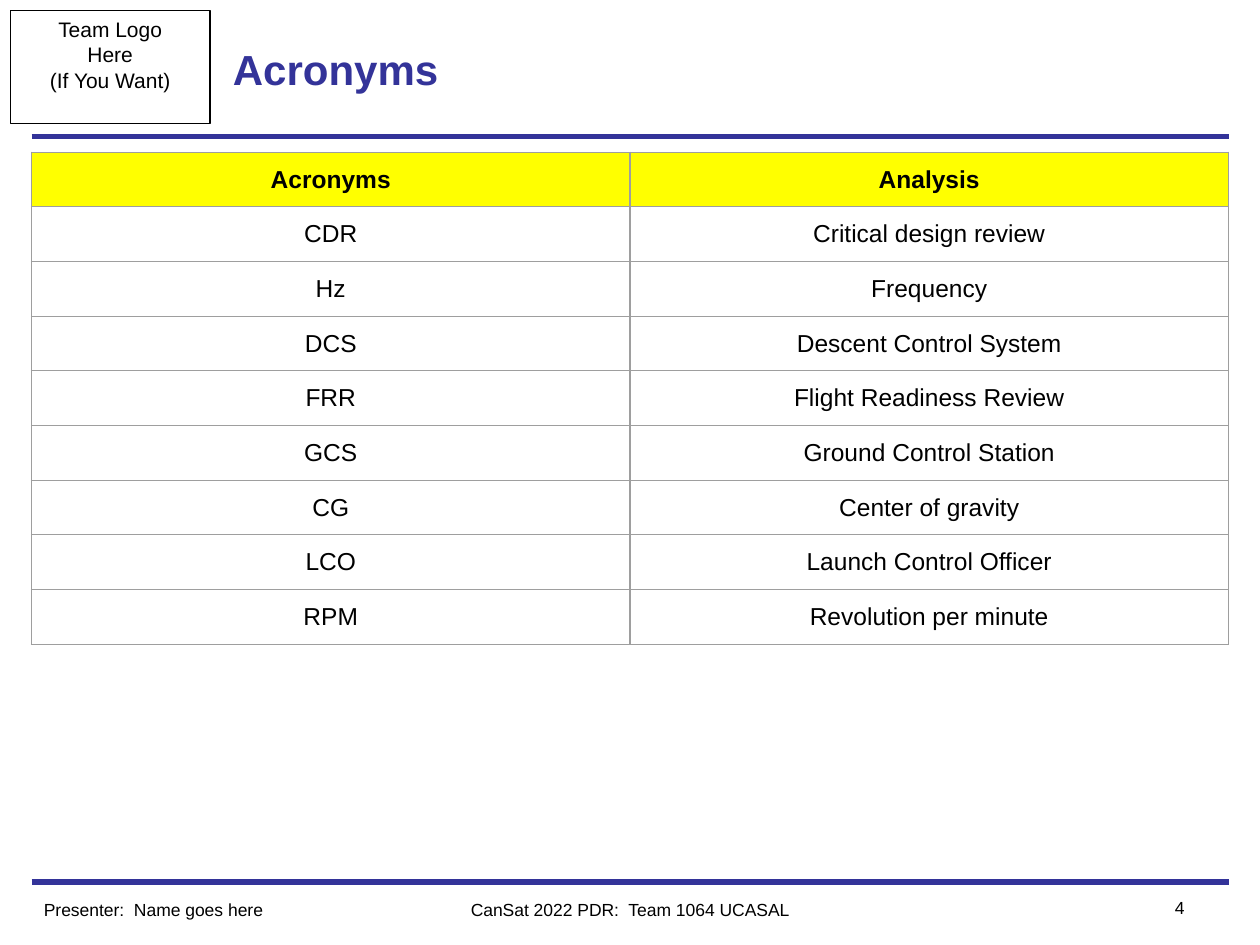
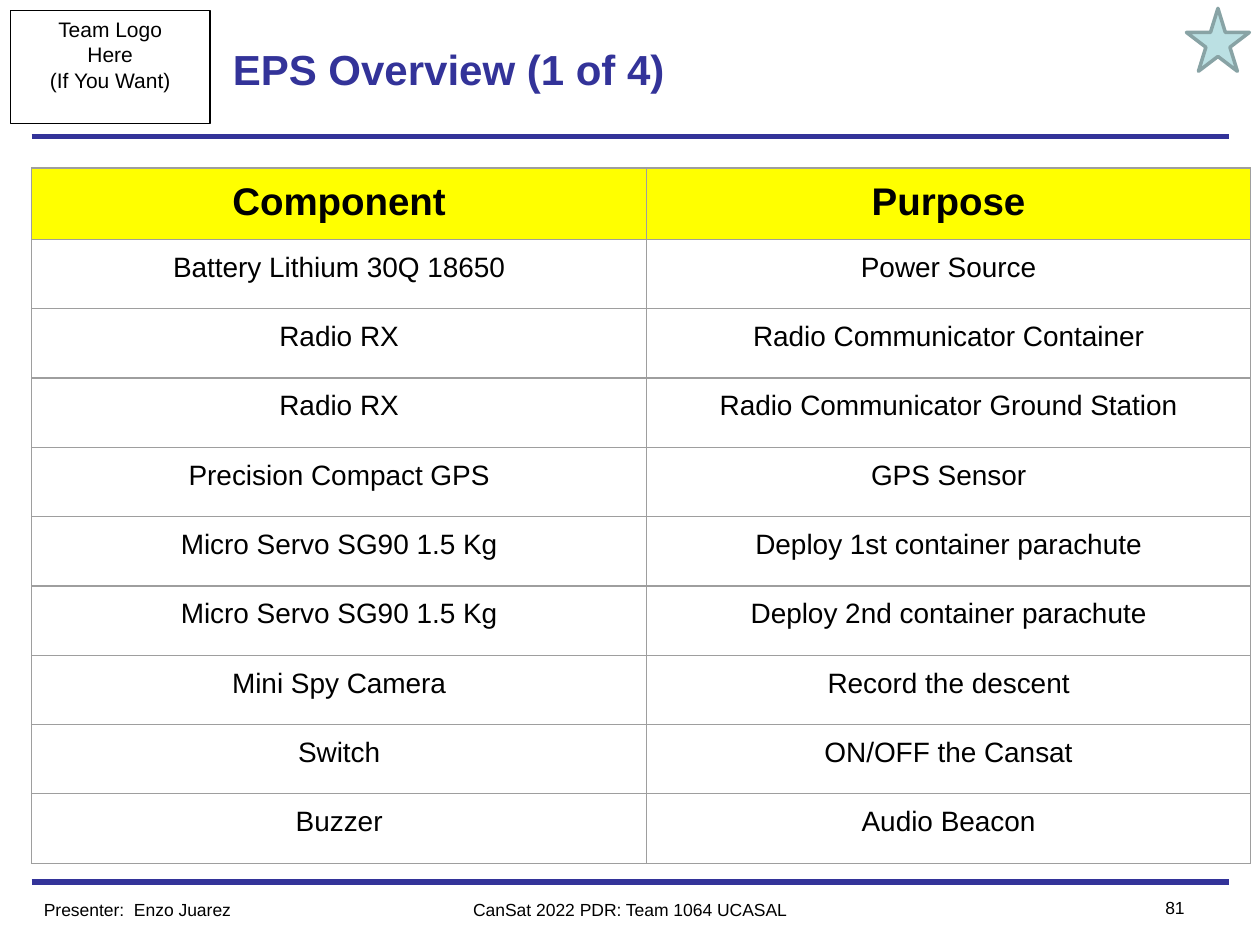
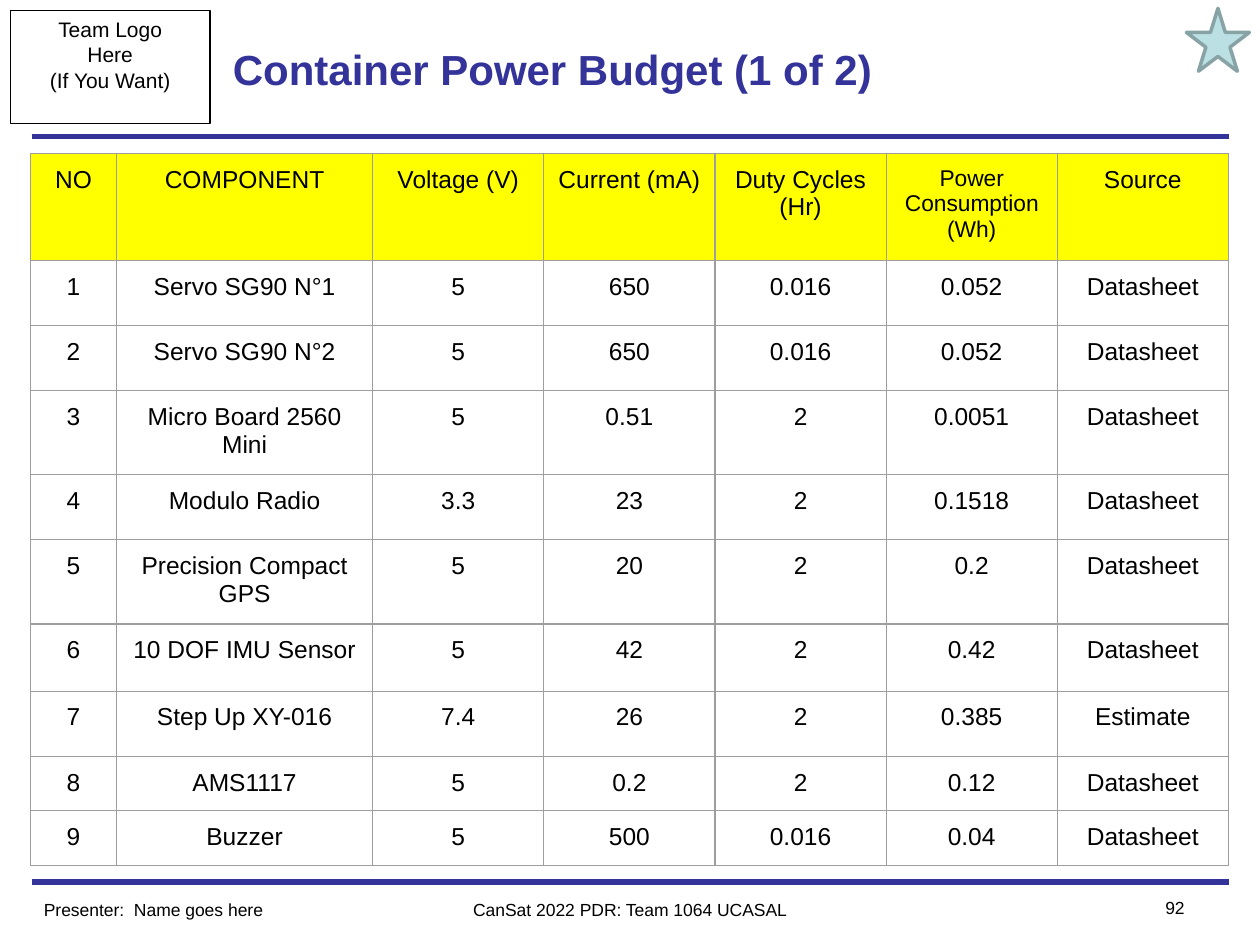
import pptx
import pptx.dml.color
import pptx.enum.shapes
import pptx.enum.text
import pptx.oxml
import pptx.oxml.ns
import pptx.util

ALIGN = pptx.enum.text.PP_ALIGN
ANCHOR = pptx.enum.text.MSO_ANCHOR
SHAPE = pptx.enum.shapes.MSO_SHAPE
NAMESPACE = pptx.oxml.ns.nsdecls("a")


def color(value):
    return pptx.dml.color.RGBColor.from_string(value)


class Deck:
    font = "Arial"
    navy, black, white, yellow = "333399", "000000", "FFFFFF", "FFFF00"
    star_fill, star_line, border = "BBE0E3", "88A3A5", "9E9E9E"
    columns, rows = 120, 90

    def __init__(self):
        self.presentation = pptx.Presentation()
        self.presentation.slide_width = pptx.util.Inches(10)
        self.presentation.slide_height = pptx.util.Inches(7.5)
        self.slide = None

    def x(self, column):
        return round(self.presentation.slide_width * column / self.columns)

    def y(self, row):
        return round(self.presentation.slide_height * row / self.rows)

    def box(self, left, top, width, height):
        return self.x(left), self.y(top), self.x(width), self.y(height)

    def fill_text(self, frame, text, size, align=ALIGN.LEFT, bold=False, ink=black):
        frame.word_wrap = True
        frame.text = text
        for paragraph in frame.paragraphs:
            paragraph.alignment = align
            paragraph.font.name = self.font
            paragraph.font.size = pptx.util.Pt(size)
            paragraph.font.bold = bold
            paragraph.font.color.rgb = color(ink)

    def text(self, place, text, size, anchor=ANCHOR.TOP, **style):
        frame = self.slide.shapes.add_textbox(*self.box(*place)).text_frame
        frame.vertical_anchor = anchor
        self.fill_text(frame, text, size, **style)

    def rule(self, row):
        line = self.slide.shapes.add_connector(
            pptx.enum.shapes.MSO_CONNECTOR.STRAIGHT,
            self.x(3), self.y(row), self.x(117), self.y(row))
        line.line.color.rgb = color(self.navy)
        line.line.width = pptx.util.Pt(3)
        effects = pptx.oxml.parse_xml(f"<a:effectLst {NAMESPACE}/>")
        line._element.spPr.append(effects)

    def shape(self, kind, place, outline, width, fill=None):
        shape = self.slide.shapes.add_shape(kind, *self.box(*place))
        shape.shadow.inherit = False
        if fill:
            shape.fill.solid()
            shape.fill.fore_color.rgb = color(fill)
        else:
            shape.fill.background()
        shape.line.color.rgb = color(outline)
        shape.line.width = pptx.util.Pt(width)
        return shape

    def star(self):
        self.shape(SHAPE.STAR_5_POINT, (113, 0.8, 6, 6), self.star_line, 2, self.star_fill)

    def page(self, title, number, presenter, event="CanSat 2022 PDR: Team 1064 UCASAL"):
        self.slide = self.presentation.slides.add_slide(self.presentation.slide_layouts[6])
        self.rule(84)
        self.rule(13)
        logo = self.shape(SHAPE.RECTANGLE, (1, 1, 19, 10.8), self.black, 0.75)
        logo.text_frame.vertical_anchor = ANCHOR.TOP
        self.fill_text(logo.text_frame, "Team Logo\nHere\n(If You Want)", 12, ALIGN.CENTER)
        self.text((36, 85, 48, 3.2), event, 10, align=ALIGN.CENTER)
        self.text((105, 84.8, 9, 3.2), number, 10, align=ALIGN.RIGHT)
        self.text((21, 1, 78, 11), title, 24, ANCHOR.MIDDLE, bold=True, ink=self.navy)
        self.text((3, 85, 30, 3.2), f"Presenter:  {presenter}", 10)

    def outline(self, cell):
        properties = cell._tc.get_or_add_tcPr()
        for side in "LRTB":
            properties.append(pptx.oxml.parse_xml(
                f'<a:ln{side} {NAMESPACE} w="9525"><a:solidFill>'
                f'<a:srgbClr val="{self.border}"/></a:solidFill></a:ln{side}>'))

    def table(self, left, top, widths, heights, records, size, head_size,
              bold=True, anchor=ANCHOR.TOP, small_heads=()):
        place = self.box(left, top, sum(widths), sum(heights))
        table = self.slide.shapes.add_table(len(heights), len(widths), *place).table
        table.first_row = table.horz_banding = False
        for column, width in zip(table.columns, widths):
            column.width = self.x(width)
        for index, (row, height, record) in enumerate(zip(table.rows, heights, records)):
            row.height = self.y(height)
            head = index == 0
            for cell, value in zip(row.cells, record):
                cell.margin_left = cell.margin_right = pptx.util.Inches(0.1)
                cell.margin_top = cell.margin_bottom = pptx.util.Inches(0.1)
                cell.vertical_anchor = anchor
                self.outline(cell)
                cell.fill.solid()
                cell.fill.fore_color.rgb = color(self.yellow if head else self.white)
                points = head_size if head else size
                if head and value in small_heads:
                    points -= 1
                self.fill_text(cell.text_frame, value, points, ALIGN.CENTER, head and bold)


ACRONYMS = [
    ("Acronyms", "Analysis"),
    ("CDR", "Critical design review"),
    ("Hz", "Frequency"),
    ("DCS", "Descent Control System"),
    ("FRR", "Flight Readiness Review"),
    ("GCS", "Ground Control Station"),
    ("CG", "Center of gravity"),
    ("LCO", "Launch Control Officer"),
    ("RPM", "Revolution per minute"),
]

COMPONENTS = [
    ("Component", "Purpose"),
    ("Battery Lithium 30Q 18650", "Power Source"),
    ("Radio RX", "Radio Communicator Container"),
    ("Radio RX", "Radio Communicator Ground Station"),
    ("Precision Compact GPS", "GPS Sensor"),
    ("Micro Servo SG90 1.5 Kg", "Deploy 1st container parachute"),
    ("Micro Servo SG90 1.5 Kg", "Deploy 2nd container parachute"),
    ("Mini Spy Camera", "Record the descent"),
    ("Switch", "ON/OFF the Cansat"),
    ("Buzzer", "Audio Beacon"),
]

POWER_HEAD = "Power Consumption (Wh)"
POWER_BUDGET = [
    ("NO", "COMPONENT", "Voltage (V)", "Current (mA)", "Duty Cycles (Hr)", POWER_HEAD, "Source"),
    ("1", "Servo SG90 N°1", "5", "650", "0.016", "0.052", "Datasheet"),
    ("2", "Servo SG90 N°2", "5", "650", "0.016", "0.052", "Datasheet"),
    ("3", "Micro Board 2560 Mini", "5", "0.51", "2", "0.0051", "Datasheet"),
    ("4", "Modulo Radio", "3.3", "23", "2", "0.1518", "Datasheet"),
    ("5", "Precision Compact GPS", "5", "20", "2", "0.2", "Datasheet"),
    ("6", "10 DOF IMU Sensor", "5", "42", "2", "0.42", "Datasheet"),
    ("7", "Step Up XY-016", "7.4", "26", "2", "0.385", "Estimate"),
    ("8", "AMS1117", "5", "0.2", "2", "0.12", "Datasheet"),
    ("9", "Buzzer", "5", "500", "0.016", "0.04", "Datasheet"),
]


def main():
    deck = Deck()

    deck.page("Acronyms", "4", "Name goes here", "CanSat 2022 PDR:  Team 1064 UCASAL")
    deck.table(3, 14.5, [57] * 2, [5.2] * len(ACRONYMS), ACRONYMS, 14, 14,
               anchor=ANCHOR.MIDDLE)

    deck.page("EPS Overview (1 of 4)", "81", "Enzo Juarez")
    deck.star()
    deck.table(3, 16, [58.6, 57.5], [6.6] * len(COMPONENTS), COMPONENTS, 16, 22)

    deck.page("Container Power Budget (1 of 2)", "92", "Name goes here")
    deck.star()
    deck.table(2.9, 14.6, [8.2, 24.4] + [16.3] * 5,
               [10, 6.2, 6.2, 7, 6.2, 7.4, 6.4, 6.2, 5, 5],
               POWER_BUDGET, 14, 14, bold=False, small_heads=(POWER_HEAD,))

    deck.presentation.save("out.pptx")


if __name__ == "__main__":
    main()
